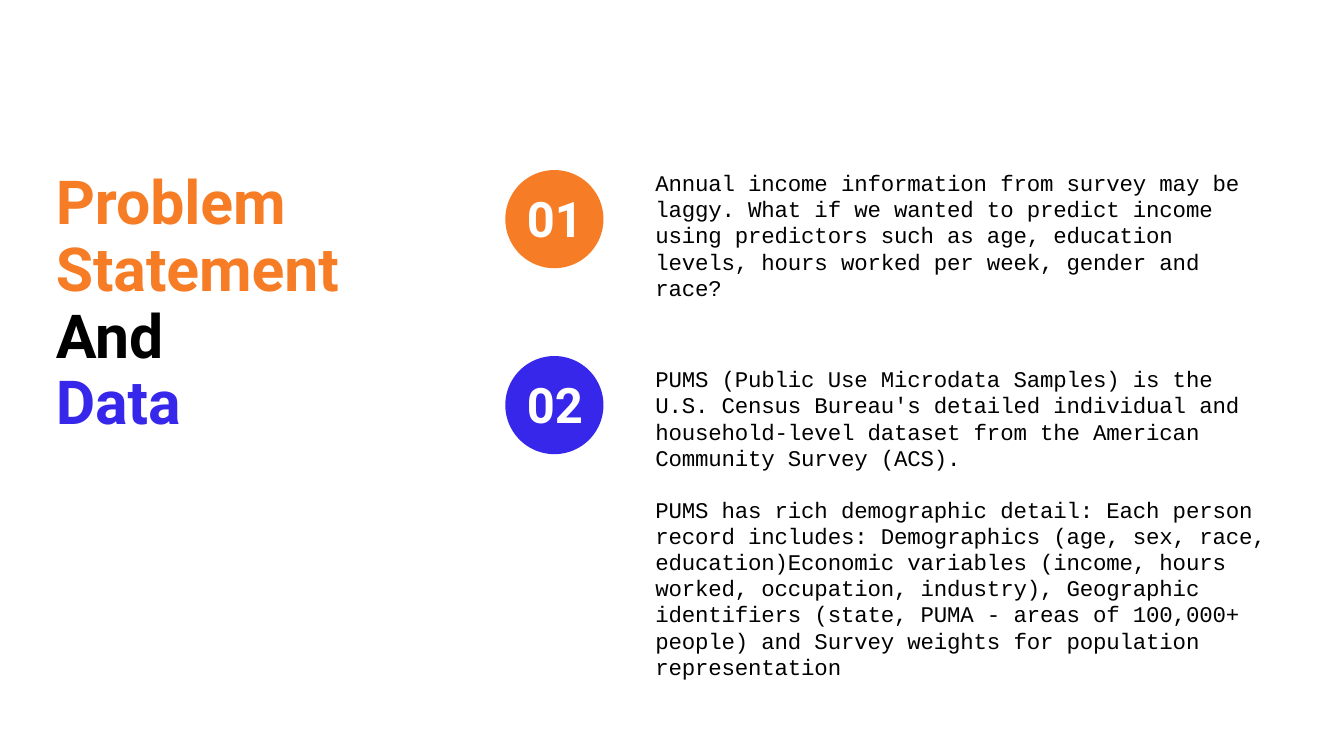
from pptx import Presentation
from pptx.dml.color import RGBColor
from pptx.enum.shapes import MSO_SHAPE
from pptx.enum.text import PP_ALIGN
from pptx.util import Cm, Pt

ORANGE = "F67D26"
BLUE = "3727EB"
BLACK = "000000"
WHITE = "FFFFFF"


def color(value):
    return RGBColor.from_string(value)


def add_text(text, left, top, width, height, font, size, leading, colors=(BLACK,),
             bold=False, align=PP_ALIGN.LEFT, gap=0, tracking=0):
    box = page.shapes.add_textbox(Cm(left), Cm(top), Cm(width), Cm(height))
    frame = box.text_frame
    frame.word_wrap = True
    frame.margin_left = frame.margin_right = frame.margin_top = frame.margin_bottom = 0
    for index, line in enumerate(text.split("\n")):
        para = frame.add_paragraph() if index else frame.paragraphs[0]
        para.alignment = align
        para.line_spacing = Pt(leading)
        if index and gap:
            para.space_before = Pt(gap)
        span = para.add_run()
        span.text = line
        span.font.name = font
        span.font.size = Pt(size)
        span.font.bold = bold
        span.font.color.rgb = color(colors[index % len(colors)])
        if tracking:
            span.font._element.set("spc", str(tracking))


deck = Presentation()
deck.slide_width = Cm(50.8)
deck.slide_height = Cm(28.58)
page = deck.slides.add_slide(deck.slide_layouts[6])
page.background.fill.solid()
page.background.fill.fore_color.rgb = color(WHITE)

add_text("Problem Statement\nAnd\nData", 2.11, 6.43, 18.26, 10.26, "Roboto", 65, 71.5,
         colors=(ORANGE, BLACK, BLUE), bold=True)

problem = (
    "Annual income information from survey may be laggy. What if we wanted to predict "
    "income using predictors such as age, education levels, hours worked per week, "
    "gender and race?"
)
data = (
    "PUMS (Public Use Microdata Samples) is the U.S. Census Bureau's detailed individual "
    "and household-level dataset from the American Community Survey (ACS).\n"
    "PUMS has rich demographic detail: Each person record includes: Demographics (age, "
    "sex, race, education)Economic variables (income, hours worked, occupation, "
    "industry), Geographic identifiers (state, PUMA - areas of 100,000+ people) and "
    "Survey weights for population representation"
)
sections = [
    ("01", ORANGE, 6.43, problem, 6.43, 22.86, 4.98),
    ("02", BLUE, 13.46, data, 13.84, 23.5, 11.96),
]

for number, fill, circle_top, body, body_top, body_width, body_height in sections:
    circle = page.shapes.add_shape(MSO_SHAPE.OVAL, Cm(19.1), Cm(circle_top), Cm(3.71), Cm(3.71))
    circle.shadow.inherit = False
    circle.fill.solid()
    circle.fill.fore_color.rgb = color(fill)
    circle.line.fill.background()
    add_text(number, 19.69, circle_top + 0.88, 2.57, 2.08, "Roboto", 52.4, 57.6,
             colors=(WHITE,), bold=True, align=PP_ALIGN.CENTER)
    add_text(body, 24.77, body_top, body_width, body_height, "Courier New", 24, 28,
             gap=28, tracking=-20)

deck.save("out.pptx")
